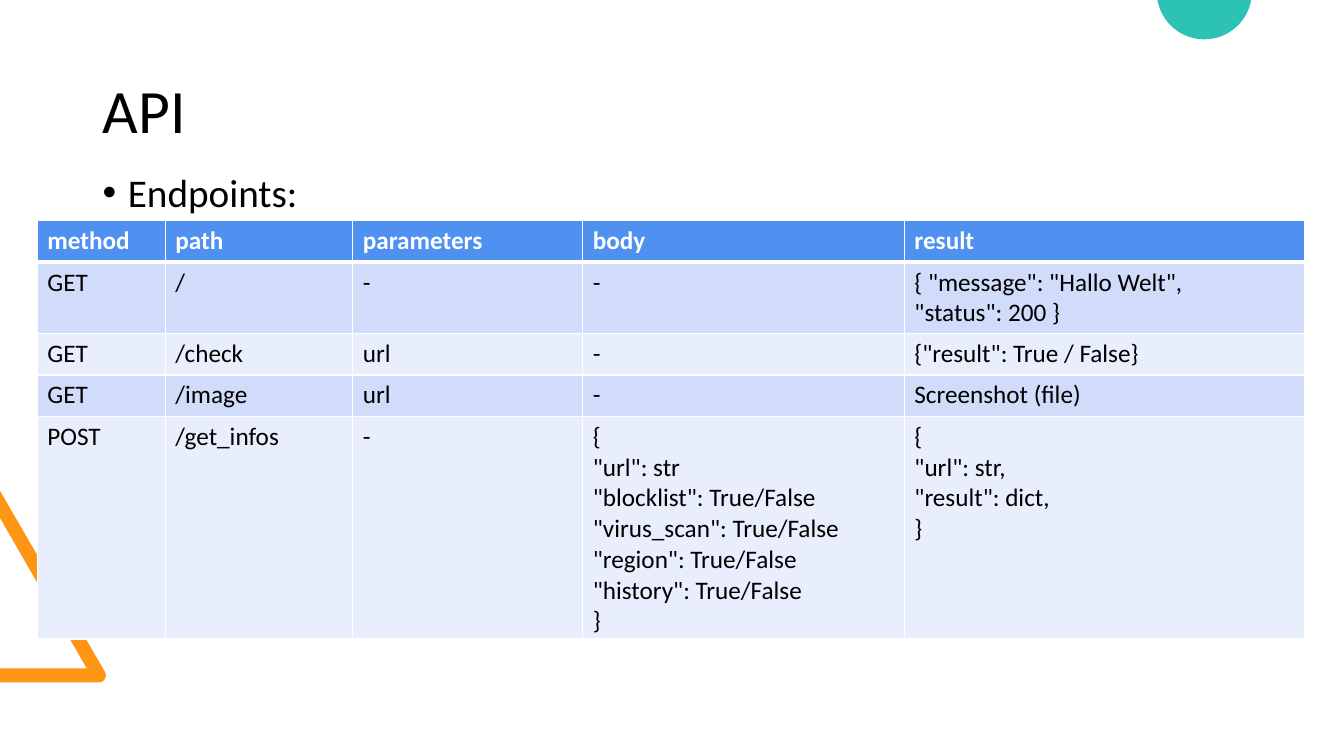
import math

from lxml import etree
from pptx import Presentation
from pptx import util as u
from pptx.dml.color import RGBColor
from pptx.enum import text
from pptx.oxml import ns

FONT = "Calibri"
BLACK = RGBColor(0x00, 0x00, 0x00)
WHITE = RGBColor(0xFF, 0xFF, 0xFF)
ORANGE = RGBColor(0xFF, 0x95, 0x14)
TEAL = RGBColor(0x2C, 0xC3, 0xB4)
HEADER_BLUE = RGBColor(0x4E, 0x91, 0xF0)
BAND_DARK = RGBColor(0xD0, 0xDC, 0xF9)
BAND_LIGHT = RGBColor(0xE9, 0xEE, 0xFC)

COLUMN_WIDTHS = [1.27, 1.86, 2.28, 3.19, 3.97]
ENDPOINTS = [
    ["method", "path", "parameters", "body", "result"],
    ["GET", "/", "-", "-", '{ "message": "Hallo Welt",\n"status": 200 }'],
    ["GET", "/check", "url", "-", '{"result": True / False}'],
    ["GET", "/image", "url", "-", "Screenshot (file)"],
    ["POST", "/get_infos", "-",
     '{\n"url": str\n"blocklist": True/False\n"virus_scan": True/False\n'
     '"region": True/False\n"history": True/False\n}',
     '{\n"url": str,\n"result": dict,\n}'],
]


def add_span(para, words, size, color, bold=False):
    span = para.add_run()
    span.text = words
    span.font.name = FONT
    span.font.size = u.Pt(size)
    span.font.bold = bold
    span.font.color.rgb = color


def add_outline(page, points, color):
    """Draw a filled closed outline through points given in inches."""
    start, *others = [(u.Inches(x), u.Inches(y)) for x, y in points]
    builder = page.shapes.build_freeform(*start, scale=1.0)
    builder.add_line_segments(others, close=True)
    shape = builder.convert_to_shape()
    shape.shadow.inherit = False
    shape.fill.solid()
    shape.fill.fore_color.rgb = color
    shape.line.fill.background()


def arc(center_x, center_y, radius, first, last, steps):
    """Return points on an arc, with angles in degrees clockwise from the right."""
    angles = [math.radians(first + (last - first) * i / steps) for i in range(steps + 1)]
    return [(center_x + radius * math.cos(a), center_y + radius * math.sin(a))
            for a in angles]


def add_triangle(page, left, top, width, height):
    bottom, band, radius = top + height, 0.14, 0.07
    corner = arc(left + width - radius, bottom - radius, radius, -30, 90, 12)
    points = [(left, bottom), (left, bottom - band), (left + 0.86, bottom - band),
              (left, top + 0.27), (left, top), *corner]
    add_outline(page, points, ORANGE)


def add_cut_circle(page, left, top, width, height):
    radius = (width ** 2 / 4 + height ** 2) / (2 * height)
    center_y = top + height - radius
    first = math.degrees(math.asin((top - center_y) / radius))
    add_outline(page, arc(left + width / 2, center_y, radius, first, 180 - first, 48), TEAL)


def place_title(page, left, top, width, height):
    title = page.shapes.title
    title.left, title.top = u.Inches(left), u.Inches(top)
    title.width, title.height = u.Inches(width), u.Inches(height)
    title.text_frame.vertical_anchor = text.MSO_ANCHOR.MIDDLE
    para = title.text_frame.paragraphs[0]
    para.alignment = text.PP_ALIGN.LEFT
    para.line_spacing = 0.9
    add_span(para, "API", 44, BLACK)


def add_bullet_text(page, left, top, width, height):
    box = page.shapes.add_textbox(*map(u.Inches, (left, top, width, height)))
    box.text_frame.word_wrap = True
    para = box.text_frame.paragraphs[0]
    para.line_spacing = 0.9
    para.space_before = u.Pt(10)
    props = para._p.get_or_add_pPr()
    props.set("marL", str(u.Inches(0.25)))
    props.set("indent", str(-u.Inches(0.25)))
    etree.SubElement(props, ns.qn("a:buFont")).set("typeface", "Arial")
    etree.SubElement(props, ns.qn("a:buChar")).set("char", "•")
    add_span(para, "Endpoints:", 28, BLACK)


def set_borders(cell, row):
    """Give white borders, thicker between the header and the first row."""
    widths = {"lnL": 1, "lnR": 1, "lnT": 3 if row == 1 else 1, "lnB": 3 if row == 0 else 1}
    props = cell._tc.get_or_add_tcPr()
    for side, points in widths.items():
        line = etree.SubElement(props, ns.qn(f"a:{side}"), w=str(u.Pt(points)))
        fill = etree.SubElement(line, ns.qn("a:solidFill"))
        etree.SubElement(fill, ns.qn("a:srgbClr"), val=str(WHITE))


def fill_cell(cell, words, row):
    set_borders(cell, row)
    cell.fill.solid()
    if row == 0:
        cell.fill.fore_color.rgb = HEADER_BLUE
    else:
        cell.fill.fore_color.rgb = BAND_DARK if row % 2 else BAND_LIGHT
    frame = cell.text_frame
    for i, line in enumerate(words.split("\n")):
        para = frame.add_paragraph() if i else frame.paragraphs[0]
        add_span(para, line, 18, BLACK if row else WHITE, bold=row == 0)


def add_endpoint_table(page, left, top):
    heights = [0.41 + 0.3 * max(words.count("\n") for words in row) for row in ENDPOINTS]
    size = (sum(COLUMN_WIDTHS), sum(heights))
    table = page.shapes.add_table(len(ENDPOINTS), len(COLUMN_WIDTHS),
                                  *map(u.Inches, (left, top, *size))).table
    for column, width in zip(table.columns, COLUMN_WIDTHS):
        column.width = u.Inches(width)
    for r, (height, row) in enumerate(zip(heights, ENDPOINTS)):
        table.rows[r].height = u.Inches(height)
        for c, words in enumerate(row):
            fill_cell(table.cell(r, c), words, r)


def main():
    deck = Presentation()
    deck.slide_width, deck.slide_height = u.Inches(13.33), u.Inches(7.5)
    page = deck.slides.add_slide(deck.slide_layouts.get_by_name("Title Only"))
    add_triangle(page, 0, 4.87, 1.05, 1.9)
    add_cut_circle(page, 11.48, 0, 0.93, 0.39)
    place_title(page, 0.92, 0.4, 11.5, 1.45)
    add_bullet_text(page, 0.92, 1.67, 5.67, 4.03)
    add_endpoint_table(page, 0.37, 2.19)
    deck.save("out.pptx")


if __name__ == "__main__":
    main()
